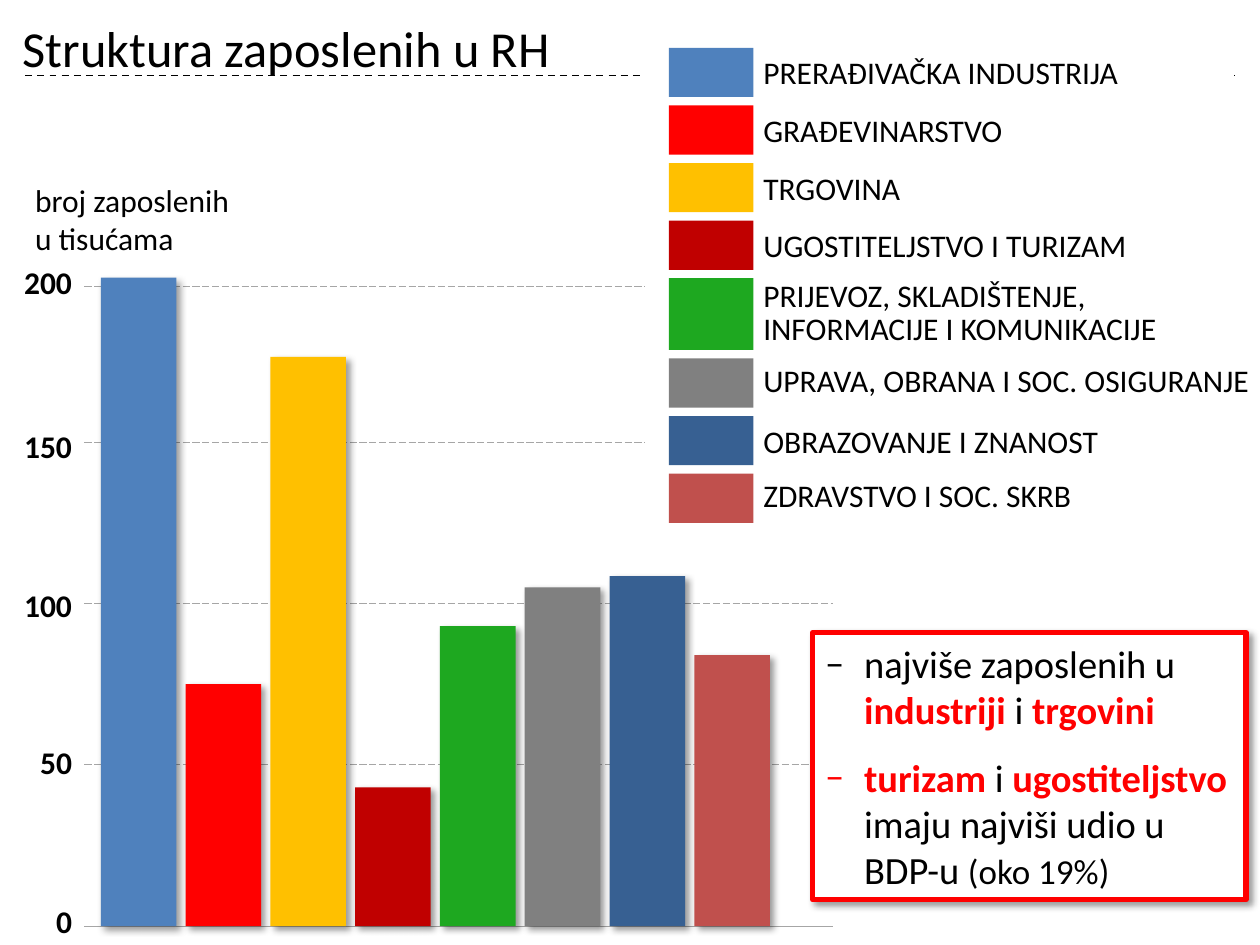
from dataclasses import dataclass

from lxml.etree import SubElement
from pptx import Presentation
from pptx.dml.color import RGBColor
from pptx.enum.dml import MSO_LINE
from pptx.enum.shapes import MSO_CONNECTOR, MSO_SHAPE
from pptx.enum.text import MSO_ANCHOR, MSO_AUTO_SIZE, PP_ALIGN
from pptx.oxml.ns import qn
from pptx.util import Inches, Pt


@dataclass(frozen=True)
class Theme:
    """Colours, font and type sizes of the slide."""
    font: str = "Calibri"
    ink: str = "000000"
    paper: str = "FFFFFF"
    accent: str = "FF0000"
    grid: str = "A6A6A6"
    title: float = 28.8
    label: float = 18
    callout: float = 22
    aside: float = 20
    legend_leading: float = 19


T = Theme()
BASE = 7.35
INCHES_PER_UNIT = 0.0256
BAR_PITCH = 0.673
LEGEND_PITCH = 0.457

AXIS = [("200", 2.27, 2.04), ("150", 3.51, 3.34), ("100", 4.79, 4.6),
        ("50", 6.07, 5.85), ("0", BASE, 7.11)]

SECTORS = [
    (["PRERAĐIVAČKA INDUSTRIJA"], "4F81BD", 201, 3.11, False),
    (["GRAĐEVINARSTVO"], "FF0000", 75, 2.17, False),
    (["TRGOVINA"], "FFC000", 176.5, 1.33, False),
    (["UGOSTITELJSTVO I TURIZAM"], "C00000", 43, 3.18, False),
    (["PRIJEVOZ, SKLADIŠTENJE,", "INFORMACIJE I KOMUNIKACIJE"], "1EA820", 93, 3.43, True),
    (["UPRAVA, OBRANA I SOC. OSIGURANJE"], "808080", 105, 4.2, True),
    (["OBRAZOVANJE I ZNANOST"], "376092", 108.5, 2.95, False),
    (["ZDRAVSTVO I SOC. SKRB"], "C0504D", 84, 2.74, True),
]

FINDINGS = [
    [("najviše zaposlenih u ", False, T.callout), ("industriji ", True, T.callout),
     ("i ", False, T.callout), ("trgovini", True, T.callout)],
    [("turizam ", True, T.callout), ("i ", False, T.callout),
     ("ugostiteljstvo ", True, T.callout),
     ("imaju najviši udio u BDP-u ", False, T.callout), ("(oko 19%)", False, T.aside)],
]


def style_font(font, size, color=T.ink, bold=False):
    """Set face, size, colour and weight of a font."""
    font.name, font.size, font.bold = T.font, Pt(size), bold
    font.color.rgb = RGBColor.from_string(color)


def add_rule(s, x1, x2, y, color, width, dash=None):
    """Draw a horizontal line."""
    line = s.shapes.add_connector(
        MSO_CONNECTOR.STRAIGHT, Inches(x1), Inches(y), Inches(x2), Inches(y))
    line.line.color.rgb = RGBColor.from_string(color)
    line.line.width = Pt(width)
    if dash:
        line.line.dash_style = dash
    SubElement(line._element.spPr, qn("a:effectLst"))


def add_box(shapes, x, y, w, h, fill, line=None, width=1):
    """Draw a flat rectangle."""
    sp = shapes.add_shape(MSO_SHAPE.RECTANGLE, Inches(x), Inches(y), Inches(w), Inches(h))
    sp.shadow.inherit = False
    sp.fill.solid()
    sp.fill.fore_color.rgb = RGBColor.from_string(fill)
    if line:
        sp.line.color.rgb = RGBColor.from_string(line)
        sp.line.width = Pt(width)
    else:
        sp.line.fill.background()
    return sp


def add_shadow(sp):
    """Give a shape a soft shadow towards the lower right."""
    effects = sp._element.spPr.find(qn("a:effectLst"))
    shadow = SubElement(effects, qn("a:outerShdw"), blurRad=str(Pt(4)), dist=str(Pt(3)),
                        dir="2700000", algn="tl", rotWithShape="0")
    color = SubElement(shadow, qn("a:srgbClr"), val=T.ink)
    SubElement(color, qn("a:alpha"), val="40000")


def add_label(shapes, x, y, w, h, lines, bold=False, align=PP_ALIGN.LEFT, leading=None):
    """Add an unwrapped text label."""
    sp = shapes.add_textbox(Inches(x), Inches(y), Inches(w), Inches(h))
    tf = sp.text_frame
    tf.word_wrap = False
    tf.auto_size = MSO_AUTO_SIZE.SHAPE_TO_FIT_TEXT
    tf.text = "\n".join(lines)
    for p in tf.paragraphs:
        p.alignment = align
        if leading:
            p.line_spacing = Pt(leading)
        style_font(p.runs[0].font, T.label, bold=bold)


def add_title(s, text):
    """Place and format the title placeholder."""
    sp = s.shapes.title
    sp.left, sp.top, sp.width, sp.height = Inches(0.08), Inches(0.06), Inches(9.69), Inches(0.63)
    tf = sp.text_frame
    tf.text = text
    tf.auto_size = MSO_AUTO_SIZE.NONE
    tf.vertical_anchor = MSO_ANCHOR.MIDDLE
    p = tf.paragraphs[0]
    p.alignment = PP_ALIGN.LEFT
    style_font(p.runs[0].font, T.title)


def add_axis(s):
    """Draw the grid lines with their values."""
    for text, y, top in AXIS:
        add_rule(s, 0.67, 6.61, y, T.grid, 0.5, None if y == BASE else MSO_LINE.LONG_DASH)
        add_label(s.shapes, 0.08, top, 0.59, 0.4, [text], bold=True, align=PP_ALIGN.RIGHT)
    add_label(s.shapes, 0.18, 1.39, 1.85, 0.71, ["broj zaposlenih", "u tisućama"])


def add_bars(s):
    """Draw one bar for each sector."""
    for i, (_, color, value, _, _) in enumerate(SECTORS):
        height = value * INCHES_PER_UNIT
        add_shadow(add_box(s.shapes, 0.8 + i * BAR_PITCH, BASE - height, 0.6, height, color))


def add_legend(s):
    """Stack the grouped swatches and sector names on a white panel."""
    add_box(s.shapes, 5.13, 0.13, 4.65, 4.25, T.paper, T.paper, 2)
    y = 0.38
    for lines, color, _, width, tight in SECTORS:
        extra = 0.18 * (len(lines) - 1)
        swatch = 0.39 + extra
        text = 0.63 if extra else 0.37 if tight else 0.4
        shapes = s.shapes.add_group_shape().shapes
        add_label(shapes, 5.96, y + (swatch - text) / 2, width, text, lines,
                  leading=T.legend_leading if tight else None)
        add_box(shapes, 5.31, y, 0.67, swatch, color)
        y += LEGEND_PITCH + extra


def add_callout(s):
    """Add the framed box with the findings."""
    sp = add_box(s.shapes, 6.45, 5.02, 3.44, 2.12, T.paper, T.accent, 3)
    add_shadow(sp)
    tf = sp.text_frame
    tf.word_wrap = True
    tf.auto_size = MSO_AUTO_SIZE.SHAPE_TO_FIT_TEXT
    for i, runs in enumerate(FINDINGS):
        p = tf.add_paragraph() if i else tf.paragraphs[0]
        p.alignment = PP_ALIGN.LEFT
        if i:
            p.space_before = Pt(12)
        pPr = p._p.get_or_add_pPr()
        pPr.set("marL", str(Inches(0.31)))
        pPr.set("indent", str(-Inches(0.31)))
        SubElement(pPr, qn("a:buFont"), typeface=T.font)
        SubElement(pPr, qn("a:buChar"), char="–")
        for text, strong, size in runs:
            r = p.add_run()
            r.text = text
            style_font(r.font, size, T.accent if strong else T.ink, strong)


def main():
    """Build the slide and save it."""
    prs = Presentation()
    prs.slide_width, prs.slide_height = Inches(10), Inches(7.5)
    s = prs.slides.add_slide(prs.slide_layouts[5])
    add_rule(s, 0.2, 9.8, 0.6, T.ink, 1, MSO_LINE.DASH)
    add_title(s, "Struktura zaposlenih u RH")
    add_axis(s)
    add_bars(s)
    add_legend(s)
    add_callout(s)
    prs.save("out.pptx")


if __name__ == "__main__":
    main()
